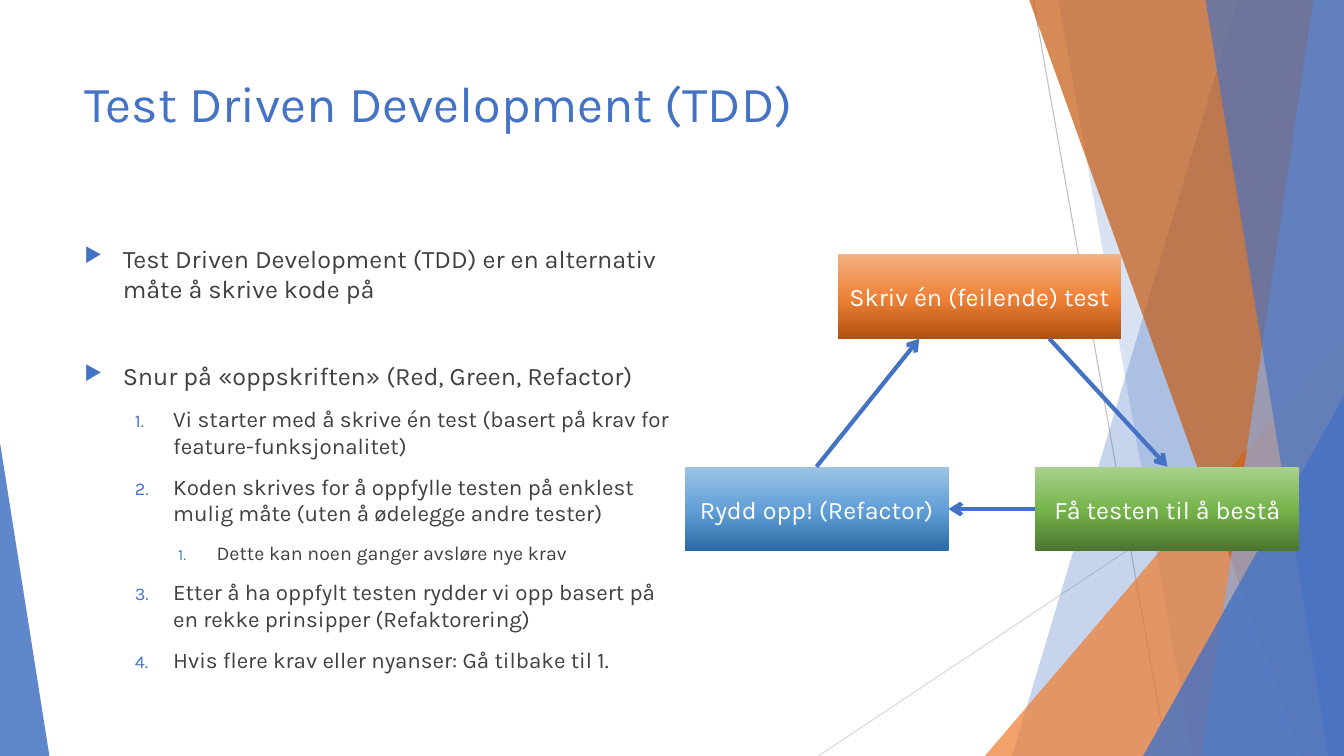
from dataclasses import dataclass

from lxml import etree
from pptx import Presentation
from pptx.dml.color import RGBColor
from pptx.enum.shapes import MSO_CONNECTOR, MSO_SHAPE
from pptx.enum.text import MSO_ANCHOR, PP_ALIGN
from pptx.oxml import parse_xml
from pptx.oxml.ns import nsdecls, qn
from pptx.util import Emu, Inches, Pt

STRAIGHT = MSO_CONNECTOR.STRAIGHT
RECT, TRIANGLE = MSO_SHAPE.RECTANGLE, MSO_SHAPE.ISOSCELES_TRIANGLE
TOP, MIDDLE, CENTER = MSO_ANCHOR.TOP, MSO_ANCHOR.MIDDLE, PP_ALIGN.CENTER
NORTH, WEST, EAST = 0, 1, 3
WIDE, HIGH = Inches(13.333), Inches(7.5)
FACE, BLUE, INK, WHITE = "Karla", "4472C4", "404040", "FFFFFF"


@dataclass
class Band:
    """A strip along the right edge, slanting from top to foot."""
    top: float
    foot: float
    color: str
    alpha: int


@dataclass
class Wedge:
    """A triangle standing on the lower edge."""
    left: float
    top: float
    width: float
    peak: float
    color: str
    alpha: int


@dataclass
class Step:
    """A box of the cycle, its stops running from foot to head."""
    text: str
    left: float
    top: float
    width: float
    stops: tuple[str, str, str]


@dataclass
class Point:
    """A list item; level 0 has an arrow, deeper levels a number."""
    text: str
    level: int = 0
    gap: int = 10


DECOR = [
    Band(92.1, 75.3, BLUE, 30),
    Band(78.75, 88.73, BLUE, 20),
    Wedge(73.28, 44.4, 26.72, 1, "ED7D31", 72),
    Band(76.58, 96.83, "C55A11", 70),
    Band(97.73, 89.4, "8FAADC", 70),
    Band(89.7, 98.85, BLUE, 65),
    Wedge(85.05, 52.4, 14.95, 1, BLUE, 80),
    Wedge(0, 58.53, 3.68, 0, BLUE, 85),
]
POINTS = [
    Point("Test Driven Development (TDD) er en alternativ måte å skrive kode på"),
    Point("Snur på «oppskriften» (Red, Green, Refactor)", gap=41),
    Point("Vi starter med å skrive én test (basert på krav for feature-funksjonalitet)", 1),
    Point("Koden skrives for å oppfylle testen på enklest mulig måte "
          "(uten å ødelegge andre tester)", 1),
    Point("Dette kan noen ganger avsløre nye krav", 2),
    Point("Etter å ha oppfylt testen rydder vi opp basert på en rekke prinsipper "
          "(Refaktorering)", 1),
    Point("Hvis flere krav eller nyanser: Gå tilbake til 1.", 1),
]
STEPS = [
    Step("Skriv én (feilende) test", 62.33, 33.6, 21.08, ("B0500F", "EE8137", "F4B183")),
    Step("Få testen til å bestå", 77.03, 61.73, 19.65, ("4B7430", "74B349", "A9D18E")),
    Step("Rydd opp! (Refactor)", 50.93, 61.73, 19.65, ("2A69A2", "609ED6", "9DC3E6")),
]
SIZES = (18, 16, 14)
INDENTS = (0.38, 0.88, 1.31)


def across(share: float) -> Emu:
    """Turn a percentage of the slide's width into a length."""
    return Emu(round(WIDE * share / 100))


def down(share: float) -> Emu:
    """Turn a percentage of the slide's height into a length."""
    return Emu(round(HIGH * share / 100))


def frame(left: float, top: float, width: float, height: float) -> tuple:
    """Turn four shares into a position and size."""
    return across(left), down(top), across(width), down(height)


def paint(color: str) -> RGBColor:
    """Read a hex string as a colour."""
    return RGBColor.from_string(color)


def style(para, size: int, color: str) -> None:
    """Set the font of a paragraph."""
    para.font.name, para.font.size = FACE, Pt(size)
    para.font.color.rgb = paint(color)


def tint(shape, color: str, alpha: int) -> None:
    """Fill a shape with a see-through colour and no outline."""
    shape.shadow.inherit = False
    shape.line.fill.background()
    shape.fill.solid()
    shape.fill.fore_color.rgb = paint(color)
    tone = shape._element.spPr.find(qn("a:solidFill"))[0]
    etree.SubElement(tone, qn("a:alpha"), val=str(alpha * 1000))


def decorate(shapes, item: Band | Wedge) -> None:
    """Draw one strip or triangle of the backdrop."""
    if isinstance(item, Band):
        path = shapes.build_freeform(across(item.top), 0)
        path.add_line_segments([(WIDE, 0), (WIDE, HIGH), (across(item.foot), HIGH)])
        shape = path.convert_to_shape()
    else:
        box = frame(item.left, item.top, item.width, 100 - item.top)
        shape = shapes.add_shape(TRIANGLE, *box)
        shape.adjustments[0] = item.peak
    tint(shape, item.color, item.alpha)


def rule(shapes, start: tuple, end: tuple, color: str, width: float):
    """Draw a straight line between two points given as shares."""
    line = shapes.add_connector(STRAIGHT, across(start[0]), down(start[1]),
                                across(end[0]), down(end[1]))
    line.line.color.rgb, line.line.width = paint(color), Pt(width)
    etree.SubElement(line._element.spPr, qn("a:effectLst"))
    return line


def arrow(shapes, start: tuple, end: tuple):
    """Draw a thick line with an open head at its end."""
    line = rule(shapes, start, end, BLUE, 3)
    etree.SubElement(line.line._get_or_add_ln(), qn("a:tailEnd"), type="arrow")
    return line


def write(shapes, box: tuple):
    """Add a wrapping text box and return its text frame."""
    text = shapes.add_textbox(*box).text_frame
    text.word_wrap, text.vertical_anchor = True, TOP
    return text


def list_item(para, point: Point) -> None:
    """Write one list item with its bullet or number."""
    para.text, para.level = point.text, point.level
    para.space_before = Pt(point.gap)
    props = para._p.get_or_add_pPr()
    props.set("marL", str(Inches(INDENTS[point.level])))
    props.set("indent", str(-Inches(0.38)))
    hue = etree.SubElement(props, qn("a:buClr"))
    etree.SubElement(hue, qn("a:srgbClr"), val=BLUE)
    etree.SubElement(props, qn("a:buSzPct"), val="80000")
    if point.level:
        etree.SubElement(props, qn("a:buAutoNum"), type="arabicPeriod")
    else:
        etree.SubElement(props, qn("a:buChar"), char="▶")
    style(para, SIZES[point.level], INK)


def add_step(shapes, step: Step):
    """Draw one shaded box of the cycle."""
    shape = shapes.add_shape(RECT, *frame(step.left, step.top, step.width, 11.2))
    shape.shadow.inherit = False
    shape.line.fill.background()
    stops = "".join(f'<a:gs pos="{pos}000"><a:srgbClr val="{color}"/></a:gs>'
                    for pos, color in zip((0, 48, 100), step.stops))
    shape._element.spPr.insert(2, parse_xml(
        f'<a:gradFill {nsdecls("a")}><a:gsLst>{stops}</a:gsLst>'
        '<a:lin ang="16200000" scaled="0"/></a:gradFill>'))
    text = shape.text_frame
    text.word_wrap, text.vertical_anchor = True, MIDDLE
    para = text.paragraphs[0]
    para.text, para.alignment = step.text, CENTER
    style(para, 18, WHITE)
    return shape


def main() -> None:
    """Build the slide and save it."""
    deck = Presentation()
    deck.slide_width, deck.slide_height = WIDE, HIGH
    shapes = deck.slides.add_slide(deck.slide_layouts[6]).shapes
    rule(shapes, (76.88, 0), (86.85, 100), "BFBFBF", 0.75)
    rule(shapes, (100, 53.73), (60.9, 100), "D9D9D9", 0.75)
    for item in DECOR:
        decorate(shapes, item)
    title = write(shapes, frame(5.55, 8.93, 70.5, 19.2)).paragraphs[0]
    title.text = "Test Driven Development (TDD)"
    style(title, 36, BLUE)
    body = write(shapes, frame(5.55, 31.47, 45.38, 61.87))
    for rank, point in enumerate(POINTS):
        list_item(body.add_paragraph() if rank else body.paragraphs[0], point)
    test, code, clean = [add_step(shapes, step) for step in STEPS]
    arrow(shapes, (78.08, 44.8), (86.85, 61.73)).end_connect(code, NORTH)
    back = arrow(shapes, (77.03, 67.33), (70.58, 67.33))
    back.begin_connect(code, WEST)
    back.end_connect(clean, EAST)
    arrow(shapes, (60.75, 61.73), (68.4, 44.8)).begin_connect(clean, NORTH)
    deck.save("out.pptx")


if __name__ == "__main__":
    main()
